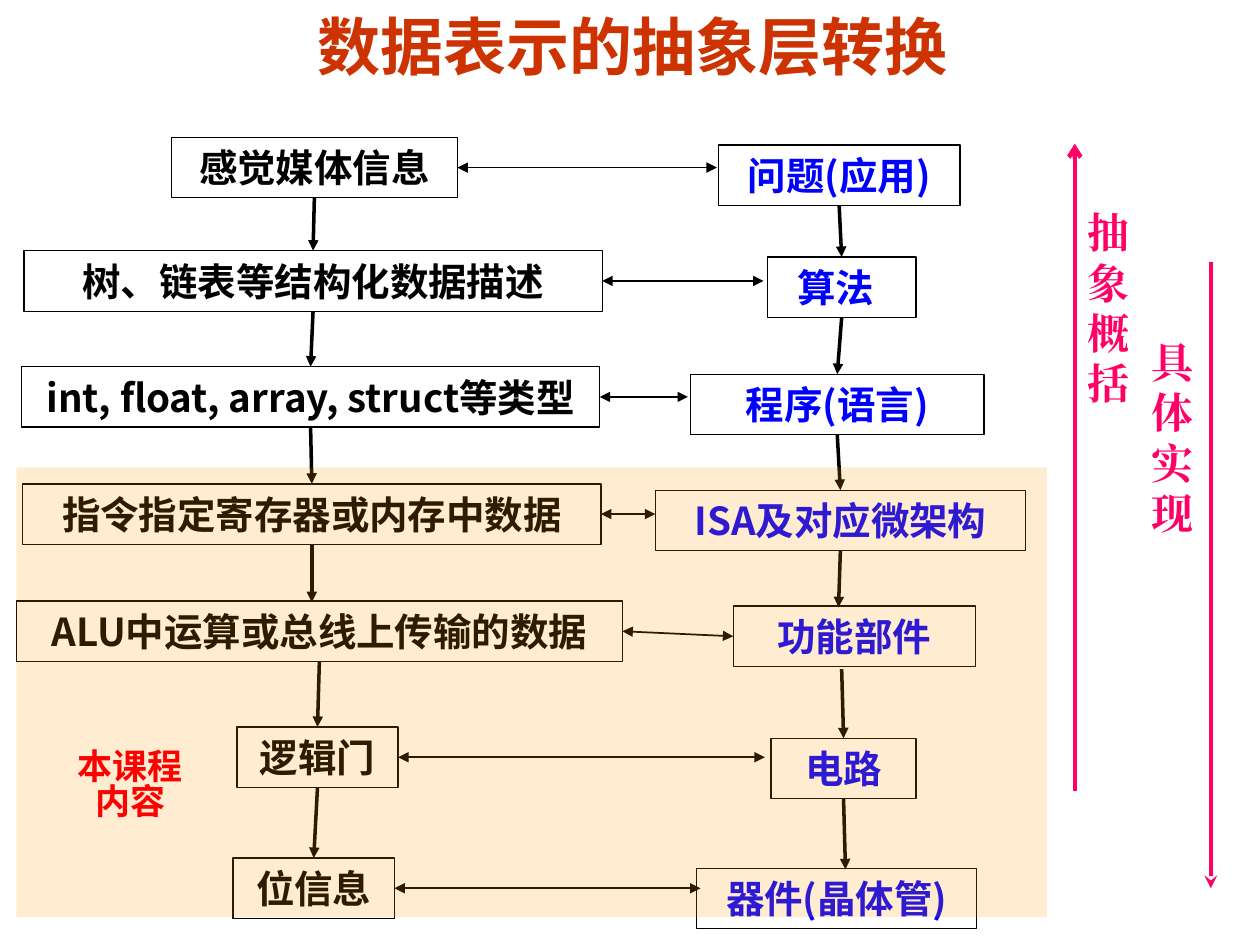
"""Build a slide on the abstraction layers of data representation."""
from dataclasses import dataclass
from itertools import pairwise

from lxml import etree
from pptx import Presentation
from pptx import util as u
from pptx.dml.color import RGBColor
from pptx.enum import shapes, text
from pptx.oxml.ns import qn

COLUMNS, ROWS = 100, 75
CELL = u.Inches(0.1)
BOX_ROWS = 4.8
JOIN_REACH = 0.4 * CELL
TOP, LEFT, BOTTOM, RIGHT = range(4)


@dataclass(frozen=True)
class Theme:
    title: str = "CC3300"
    ink: str = "000000"
    system: str = "0000FF"
    direction: str = "FF0066"
    course: str = "FF0000"
    band: str = "FF9900"
    band_opacity: int = 18
    sans: str = "Noto Sans CJK SC"
    serif: str = "Times New Roman"
    heading: str = "Arial"
    title_size: int = 36
    direction_size: int = 24
    box_size: int = 22
    course_size: int = 20
    box_line: float = 0.75
    link_line: float = 1
    drop_line: float = 2
    direction_line: float = 2.5


@dataclass(frozen=True)
class Layer:
    label: str
    column: float
    row: float
    width: float
    drop: float | None = None
    link: float | None = None
    indent: float | None = None


@dataclass(frozen=True)
class Direction:
    label: str
    column: float
    start: float
    end: float
    arrow: str
    label_column: float
    label_row: float


THEME = Theme()

DATA = [
    Layer("感觉媒体信息", 13.6, 10.9, 22.7, 24.9),
    Layer("树、链表等结构化数据描述", 1.9, 19.9, 45.9, 24.85),
    Layer("int, float, array, struct等类型", 1.7, 29.1, 45.9, 24.65),
    Layer("指令指定寄存器或内存中数据", 1.8, 38.4, 45.9, 24.75),
    Layer("ALU中运算或总线上传输的数据", 1.3, 47.7, 48.1, 25.1),
    Layer("逻辑门", 18.8, 57.7, 12.8, 25),
    Layer("位信息", 18.5, 68.1, 12.8),
]
SYSTEM = [
    Layer("问题(应用)", 57, 11.5, 19.2, 66.6, 56.9),
    Layer("算法", 60.9, 20.4, 11.8, 66.6, 60.6, indent=2.4),
    Layer("程序(语言)", 54.8, 29.7, 23.3, 66.75, 54.6),
    Layer("ISA及对应微架构", 52, 38.9, 29.4, 66.55, 52),
    Layer("功能部件", 58.2, 48.1, 19.2, 66.8, 57.9),
    Layer("电路", 61.2, 58.6, 11.5, 67.1, 60.7),
    Layer("器件(晶体管)", 55.3, 68.9, 22.2, link=55.6),
]
DIRECTIONS = [
    Direction("具体实现", 96.1, 20.8, 70.5, "stealth", 90.4, 26.2),
    Direction("抽象概括", 85.3, 62.8, 11.4, "arrow", 85.3, 15.9),
]


def grid(*cells: float) -> list[int]:
    """Turn grid cells into slide lengths."""
    return [round(cell * CELL) for cell in cells]


def write(shape, label: str, size: int, color: str, font: str,
          centered: bool = True, spacing: float | None = None) -> None:
    """Set one bold label with the same font for both scripts."""
    frame = shape.text_frame
    frame.text = label
    frame.word_wrap = True
    frame.margin_top = frame.margin_bottom = u.Inches(0.05)
    frame.margin_left = frame.margin_right = u.Inches(0.1)
    frame.vertical_anchor = text.MSO_ANCHOR.MIDDLE
    paragraph = frame.paragraphs[0]
    paragraph.alignment = text.PP_ALIGN.CENTER if centered else text.PP_ALIGN.LEFT
    if spacing:
        paragraph.line_spacing = spacing
    for run in paragraph.runs:
        run.font.size = u.Pt(size)
        run.font.bold = True
        run.font.name = font
        run.font.color.rgb = RGBColor.from_string(color)
        etree.SubElement(run.font._element, qn("a:ea"), typeface=font)


def draw_layer(slide, layer: Layer, color: str):
    """Draw one framed layer and return its shape."""
    box = slide.shapes.add_shape(
        shapes.MSO_SHAPE.RECTANGLE, *grid(layer.column, layer.row, layer.width, BOX_ROWS))
    box.shadow.inherit = False
    box.fill.background()
    box.line.color.rgb = RGBColor.from_string(THEME.ink)
    box.line.width = u.Pt(THEME.box_line)
    write(box, layer.label, THEME.box_size, color, THEME.sans, layer.indent is None)
    frame = box.text_frame
    frame.margin_left = frame.margin_right = u.Inches(0.05)
    if layer.indent:
        frame.margin_left, = grid(layer.indent)
    return box


def near_side(box, side: int, x: int, y: int) -> bool:
    """Tell whether a point lies at the middle of a side of a box."""
    site_x = box.left + {LEFT: 0, RIGHT: box.width}.get(side, box.width // 2)
    site_y = box.top + {TOP: 0, BOTTOM: box.height}.get(side, box.height // 2)
    return max(abs(site_x - x), abs(site_y - y)) <= JOIN_REACH


def draw_arrow(slide, start: tuple[float, float], end: tuple[float, float],
               color: str, width: float, head: str | None = None,
               tail: str | None = None, source=None, target=None):
    """Draw an arrow, joining its ends to the given box sides when they meet."""
    begin, finish = grid(*start), grid(*end)
    arrow = slide.shapes.add_connector(shapes.MSO_CONNECTOR.STRAIGHT, *begin, *finish)
    arrow.line.color.rgb = RGBColor.from_string(color)
    arrow.line.width = u.Pt(width)
    line = arrow.line._get_or_add_ln()
    for tag, kind in (("a:headEnd", head), ("a:tailEnd", tail)):
        if kind:
            etree.SubElement(line, qn(tag), type=kind)
    etree.SubElement(arrow._element.spPr, qn("a:effectLst"))
    if source and near_side(*source, *begin):
        arrow.begin_connect(*source)
    if target and near_side(*target, *finish):
        arrow.end_connect(*target)


def draw_chain(slide, layers: list[Layer], color: str) -> list:
    """Draw a column of layers with an arrow from each to the next."""
    boxes = [draw_layer(slide, layer, color) for layer in layers]
    for (upper, source), (lower, target) in pairwise(zip(layers, boxes)):
        draw_arrow(slide, (upper.drop, upper.row + BOX_ROWS + 0.2),
                   (upper.drop, lower.row + 0.1), THEME.ink, THEME.drop_line,
                   tail="triangle", source=(source, BOTTOM), target=(target, TOP))
    return boxes


def draw_direction(slide, direction: Direction) -> None:
    """Draw a long vertical arrow with its label."""
    draw_arrow(slide, (direction.column, direction.start),
               (direction.column, direction.end), THEME.direction,
               THEME.direction_line, tail=direction.arrow)
    label = slide.shapes.add_textbox(
        *grid(direction.label_column, direction.label_row, 5.2, 17))
    write(label, direction.label, THEME.direction_size, THEME.direction,
          THEME.serif, centered=False)


def draw_course(slide) -> None:
    """Draw the translucent band of course content and its label."""
    band = slide.shapes.add_shape(
        shapes.MSO_SHAPE.RECTANGLE, *grid(1.3, 37.1, 81.8, 35.7))
    band.shadow.inherit = False
    band.fill.solid()
    band.fill.fore_color.rgb = RGBColor.from_string(THEME.band)
    band.line.fill.background()
    tint = band._element.spPr.find(".//" + qn("a:srgbClr"))
    etree.SubElement(tint, qn("a:alpha"), val=str(THEME.band_opacity * 1000))
    label = slide.shapes.add_textbox(*grid(4, 58.6, 12.7, 7.7))
    write(label, "本课程内容", THEME.course_size, THEME.course, THEME.sans, spacing=0.83)


def main() -> None:
    """Build and save the slide."""
    deck = Presentation()
    deck.slide_width, deck.slide_height = grid(COLUMNS, ROWS)
    slide = deck.slides.add_slide(deck.slide_layouts[6])
    title = slide.shapes.add_textbox(*grid(8.8, 1.1, 82.8, 5.8))
    write(title, "数据表示的抽象层转换", THEME.title_size, THEME.title,
          THEME.heading, spacing=0.87)
    for direction in DIRECTIONS:
        draw_direction(slide, direction)
    data_boxes = draw_chain(slide, DATA, THEME.ink)
    system_boxes = draw_chain(slide, SYSTEM, THEME.system)
    for data, system, left, right in zip(DATA, SYSTEM, data_boxes, system_boxes):
        row = data.row + BOX_ROWS / 2
        draw_arrow(slide, (system.link, row), (data.column + data.width + 0.1, row),
                   THEME.ink, THEME.link_line, "triangle", "triangle",
                   (right, LEFT), (left, RIGHT))
    draw_course(slide)
    deck.save("out.pptx")


if __name__ == "__main__":
    main()
